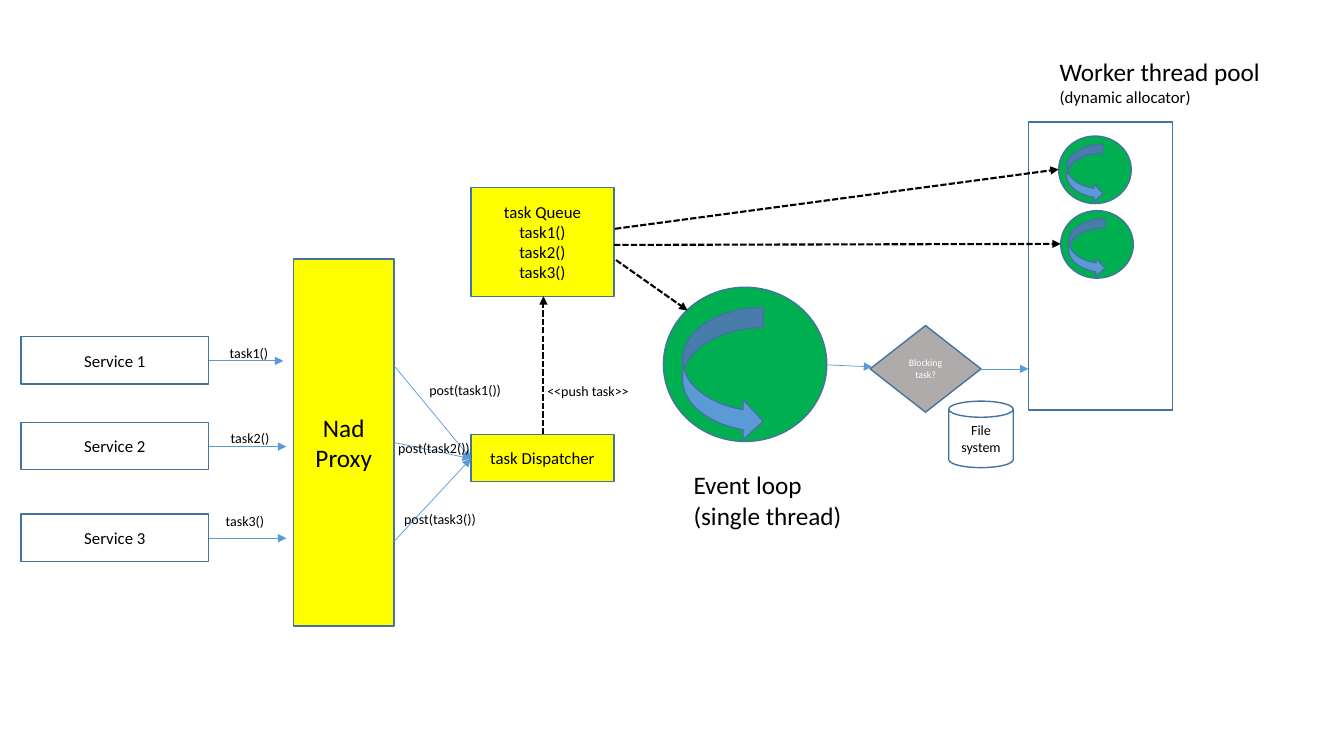
from pptx import Presentation
from pptx.util import Inches, Pt
from pptx.dml.color import RGBColor as Rgb
from pptx.enum.dml import MSO_LINE as Dash
from pptx.enum.shapes import MSO_SHAPE as Kind, MSO_CONNECTOR as Wire
from pptx.enum.text import PP_ALIGN as Align, MSO_ANCHOR as Anchor
from pptx.oxml.ns import qn
from lxml.etree import SubElement as Sub

HUES = {"ink": "000000", "white": "FFFFFF", "edge": "43739E", "blue": "5B9BD5",
        "yellow": "FFFF00", "green": "00B050", "gray": "AFABAB"}
FONT = "Calibri"
CELL = 0.1  # inches per grid column and row


def grid(*cells):
    return [Inches(c * CELL) for c in cells]


def tint(name):
    return Rgb.from_string(HUES[name])


class Board:
    def __init__(self, slide):
        self.shapes = slide.shapes

    def fill_text(self, frame, lines, hue="ink", align=Align.LEFT):
        """Each line is a pair of text and size."""
        for i, (text, size) in enumerate(lines):
            para = frame.paragraphs[0] if i == 0 else frame.add_paragraph()
            para.alignment = align
            run = para.add_run()
            run.text = text
            run.font.name, run.font.size = FONT, Pt(size)
            run.font.color.rgb = tint(hue)

    def shape(self, kind, at, fill=None, lines=(), hue="ink"):
        item = self.shapes.add_shape(kind, *grid(*at))
        item.shadow.inherit = False
        if fill:
            item.fill.solid()
            item.fill.fore_color.rgb = tint(fill)
        else:
            item.fill.background()
        item.line.color.rgb = tint("edge")
        item.line.width = Pt(1)
        item.text_frame.word_wrap = True
        item.text_frame.vertical_anchor = Anchor.MIDDLE
        self.fill_text(item.text_frame, lines, hue, Align.CENTER)

    def box(self, at, fill=None, lines=()):
        self.shape(Kind.RECTANGLE, at, fill, lines)

    def label(self, at, lines):
        frame = self.shapes.add_textbox(*grid(*at)).text_frame
        frame.word_wrap = False
        self.fill_text(frame, lines)

    def arrow(self, start, end, dashed=False):
        item = self.shapes.add_connector(Wire.STRAIGHT, *grid(*start, *end))
        item.line.color.rgb = tint("ink" if dashed else "blue")
        item.line.width = Pt(1.5 if dashed else 0.5)
        if dashed:
            item.line.dash_style = Dash.SQUARE_DOT
        props = item.element.spPr
        Sub(props.find(qn("a:ln")), qn("a:tailEnd"), type="triangle")
        Sub(props, qn("a:effectLst"))

    def loop(self, left, top, wide, high, curl):
        self.shape(Kind.OVAL, (left, top, wide, high), "green")
        self.shape(Kind.CURVED_RIGHT_ARROW, (left + curl[0], top + curl[1], *curl[2:]), "blue")


deck = Presentation()
deck.slide_width, deck.slide_height = Inches(13.33), Inches(7.5)
board = Board(deck.slides.add_slide(deck.slide_layouts[6]))

# Task queue and dispatcher
tasks = ["task1()", "task2()", "task3()"]
board.box((46.7, 18.6, 14.2, 10.8), "yellow", [(t, 12) for t in ["task Queue", *tasks]])
board.box((46.7, 43.1, 14.2, 4.7), "yellow", [("task Dispatcher", 12)])
board.arrow((53.9, 43.1), (53.9, 29.4), True)
board.label((53.3, 37.5, 10.2, 2.7), [("<<push task>>", 10)])

# Proxy
board.box((29.1, 25.7, 10, 36.4), "yellow", [("Nad Proxy", 18)])

# Services, their calls and the posts to the dispatcher
rows = [  # box top, arrow end, call label, post start, post label
    (33.4, 28.1, (21.8, 33.7), 36.3, (41.6, 37.4)),
    (41.9, 28.4, (21.9, 42.1), 43.9, (38.5, 43.1)),
    (51.0, 28.4, (21.4, 50.4), 53.7, (39.1, 50.2)),
]
for num, (top, tip, call, out, post) in enumerate(rows, 1):
    task = tasks[num - 1]
    mid = top + 2.4
    board.box((2.1, top, 18.6, 4.7), None, [(f"Service {num}", 12)])
    board.arrow((20.7, mid), (tip, mid))
    board.label((*call, 5.9, 2.7), [(task, 10)])
    board.arrow((39.1, out), (46.7, 45.5))
    board.label((*post, 9.2, 2.7), [(f"post({task})", 10)])

# Event loop
board.loop(65.8, 28.5, 16.2, 15.3, (1.9, 2, 8, 13.3))
board.label((67.8, 46.1, 16.9, 7.1), [("Event loop", 18), ("(single thread)", 18)])

# Blocking check and file system
board.shape(Kind.DIAMOND, (86.3, 32.3, 11, 8.6), "gray", [("Blocking task?", 7)], "white")
board.shape(Kind.CAN, (94.1, 39.8, 6.4, 6.6), None, [("File system", 10)])
board.arrow((82, 36.2), (86.5, 36.4))
board.arrow((97.3, 36.6), (102, 36.6))

# Worker thread pool
board.box((102, 12.1, 14.3, 28.6))
for spot in [(105, 13.5), (105.2, 20.9)]:
    board.loop(*spot, 7.2, 6.7, (0.8, 0.8, 3.6, 5.8))
board.label((104.1, 5.1, 22.1, 6.1), [("Worker thread pool", 18), ("(dynamic allocator)", 12)])

# Queue feeds every loop
for start, end in [((61.1, 25.8), (68.2, 30.8)), ((61, 22.7), (105, 16.8)),
                   ((60.9, 24.3), (105.2, 24.2))]:
    board.arrow(start, end, True)

deck.save("out.pptx")
